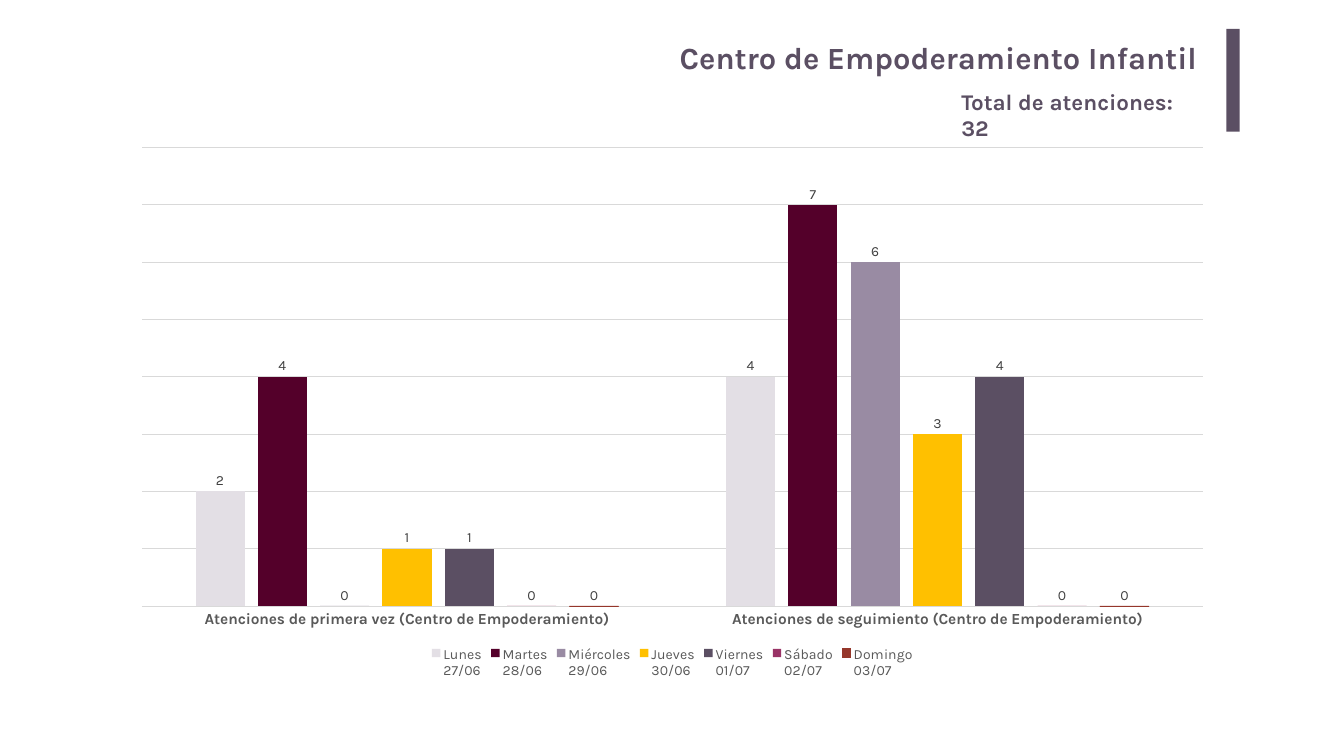
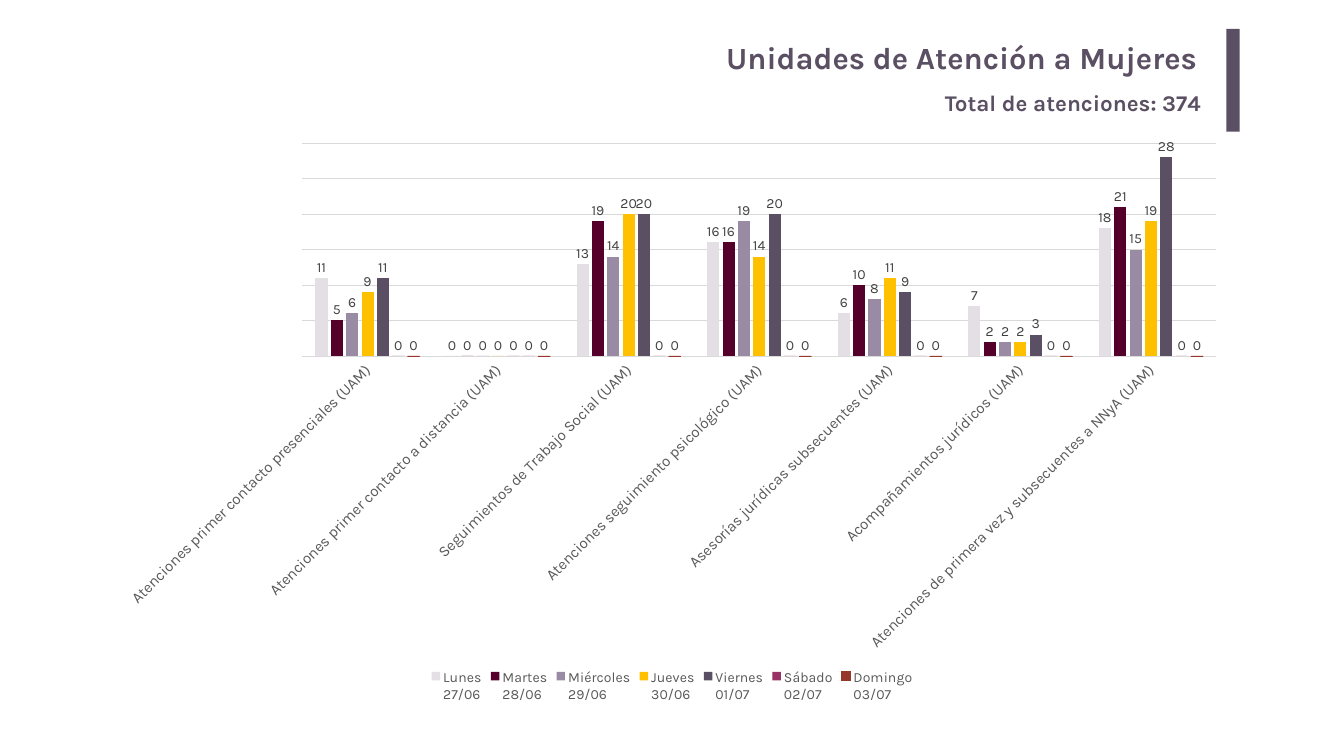
from pptx import Presentation
from pptx.chart.data import CategoryChartData
from pptx.dml.color import RGBColor
from pptx.enum.chart import (XL_CHART_TYPE as ChartType, XL_LABEL_POSITION as LabelPos,
                             XL_LEGEND_POSITION as LegendPos, XL_TICK_LABEL_POSITION as TickPos,
                             XL_TICK_MARK as TickMark)
from pptx.enum.shapes import MSO_SHAPE as Shape
from pptx.enum.text import MSO_AUTO_SIZE as AutoSize, PP_ALIGN as Align
from pptx.util import Emu, Pt

# Shared style
PX = 9525  # EMU in one px, 96 px to the inch
FONT = "Karla"
COLORS = {
    "plum": "5B4F63", "grid": "D9D9D9", "axis": "595959", "label": "404040",
    "black": "000000", "white": "FFFFFF",
    "lunes": "E3DFE5", "martes": "54002A", "miercoles": "998BA3", "jueves": "FFC000",
    "viernes": "5B4F63", "sabado": "993366", "domingo": "95372B",
}
DAYS = [
    ("Lunes\n27/06", "lunes"), ("Martes\n28/06", "martes"),
    ("Miércoles\n29/06", "miercoles"), ("Jueves\n30/06", "jueves"),
    ("Viernes\n01/07", "viernes"), ("Sábado\n02/07", "sabado"),
    ("Domingo\n03/07", "domingo"),
]

# One row per category, one value per day
CENTRO = {
    "Atenciones de primera vez (Centro de Empoderamiento)": (2, 4, 0, 1, 1, 0, 0),
    "Atenciones de seguimiento (Centro de Empoderamiento)": (4, 7, 6, 3, 4, 0, 0),
}
UNIDADES = {
    "Atenciones primer contacto presenciales (UAM)": (11, 5, 6, 9, 11, 0, 0),
    "Atenciones primer contacto a distancia (UAM)": (0, 0, 0, 0, 0, 0, 0),
    "Seguimientos de Trabajo Social (UAM)": (13, 19, 14, 20, 20, 0, 0),
    "Atenciones seguimiento psicológico (UAM)": (16, 16, 19, 14, 20, 0, 0),
    "Asesorías jurídicas subsecuentes (UAM)": (6, 10, 8, 11, 9, 0, 0),
    "Acompañamientos jurídicos (UAM)": (7, 2, 2, 2, 3, 0, 0),
    "Atenciones de primera vez y subsecuentes a NNyA (UAM)": (18, 21, 15, 19, 28, 0, 0),
}


def px(*lengths):
    return [Emu(n * PX) for n in lengths]


def rgb(name):
    return RGBColor.from_string(COLORS[name])


def style_font(font, size, color, bold=False):
    font.name = FONT
    font.size = Pt(size)
    font.bold = bold
    font.color.rgb = rgb(color)


def style_line(line, color):
    line.color.rgb = rgb(color)
    line.width = Pt(0.75)


def add_text(s, box, text, size, inset, align=Align.LEFT, auto_size=AutoSize.NONE):
    tf = s.shapes.add_textbox(*px(*box)).text_frame
    tf.word_wrap = True
    tf.auto_size = auto_size
    tf.margin_left, tf.margin_top, tf.margin_right, tf.margin_bottom = px(*inset * 2)
    p = tf.paragraphs[0]
    p.alignment = align
    r = p.add_run()
    r.text = text
    style_font(r.font, size, "plum", bold=True)


def add_header(s, title, total, total_box):
    add_text(s, (351, 64, 1949, 98), title, 44, (19, 10), Align.RIGHT)
    bar = s.shapes.add_shape(Shape.RECTANGLE, *px(2336, 55, 25, 196))
    bar.shadow.inherit = False
    bar.fill.solid()
    bar.fill.fore_color.rgb = rgb("plum")
    bar.line.fill.background()
    add_text(s, total_box, f"Total de atenciones: {total}", 32, (10, 5),
             auto_size=AutoSize.SHAPE_TO_FIT_TEXT)


def style_series(series, color):
    series.format.fill.solid()
    series.format.fill.fore_color.rgb = rgb(color)
    series.invert_if_negative = False
    if color == "domingo":
        style_line(series.format.line, color)
    else:
        series.format.line.fill.background()
    labels = series.data_labels
    labels.show_value = True
    labels.position = LabelPos.OUTSIDE_END
    style_font(labels.font, 20, "label")


def add_day_chart(s, box, rows, top, step, bold=False, angle=0):
    data = CategoryChartData()
    data.categories = list(rows)
    for (day, _), values in zip(DAYS, zip(*rows.values())):
        data.add_series(day, values)
    chart = s.shapes.add_chart(ChartType.COLUMN_CLUSTERED, *px(*box), data).chart
    style_font(chart.font, 10, "black")
    chart.has_title = False

    # Columns
    plot = chart.plots[0]
    plot.gap_width, plot.overlap = 219, -27
    plot.vary_by_categories = False
    for series, (_, color) in zip(plot.series, DAYS):
        style_series(series, color)

    # Axes
    cat = chart.category_axis
    cat.major_tick_mark = cat.minor_tick_mark = TickMark.NONE
    cat.tick_label_position = TickPos.LOW
    style_line(cat.format.line, "grid")
    style_font(cat.tick_labels.font, 22, "axis", bold)
    body = chart.element.xpath(".//c:catAx/c:txPr/a:bodyPr")[0]
    body.set("rot", str(angle * 60000))
    val = chart.value_axis
    val.visible = False
    val.minimum_scale, val.maximum_scale, val.major_unit = 0, top, step
    val.has_major_gridlines = True
    style_line(val.major_gridlines.format.line, "grid")

    # Legend
    chart.has_legend = True
    chart.legend.position = LegendPos.BOTTOM
    chart.legend.include_in_layout = False
    style_font(chart.legend.font, 20, "axis")


def add_slide(prs):
    s = prs.slides.add_slide(prs.slide_layouts[6])
    s.background.fill.solid()
    s.background.fill.fore_color.rgb = rgb("white")
    return s


def main():
    prs = Presentation()
    prs.slide_width, prs.slide_height = px(2560, 1440)

    # Children's centre
    s = add_slide(prs)
    add_header(s, "Centro de Empoderamiento Infantil", 32, (1821, 162, 485, 61))
    add_day_chart(s, (228, 260, 2105, 1040), CENTRO, top=8, step=1, bold=True)

    # Women's units
    s = add_slide(prs)
    add_header(s, "Unidades de Atención a Mujeres", 374, (1790, 164, 510, 62))
    add_day_chart(s, (200, 251, 2160, 1093), UNIDADES, top=30, step=5, angle=-45)

    prs.save("out.pptx")


if __name__ == "__main__":
    main()
